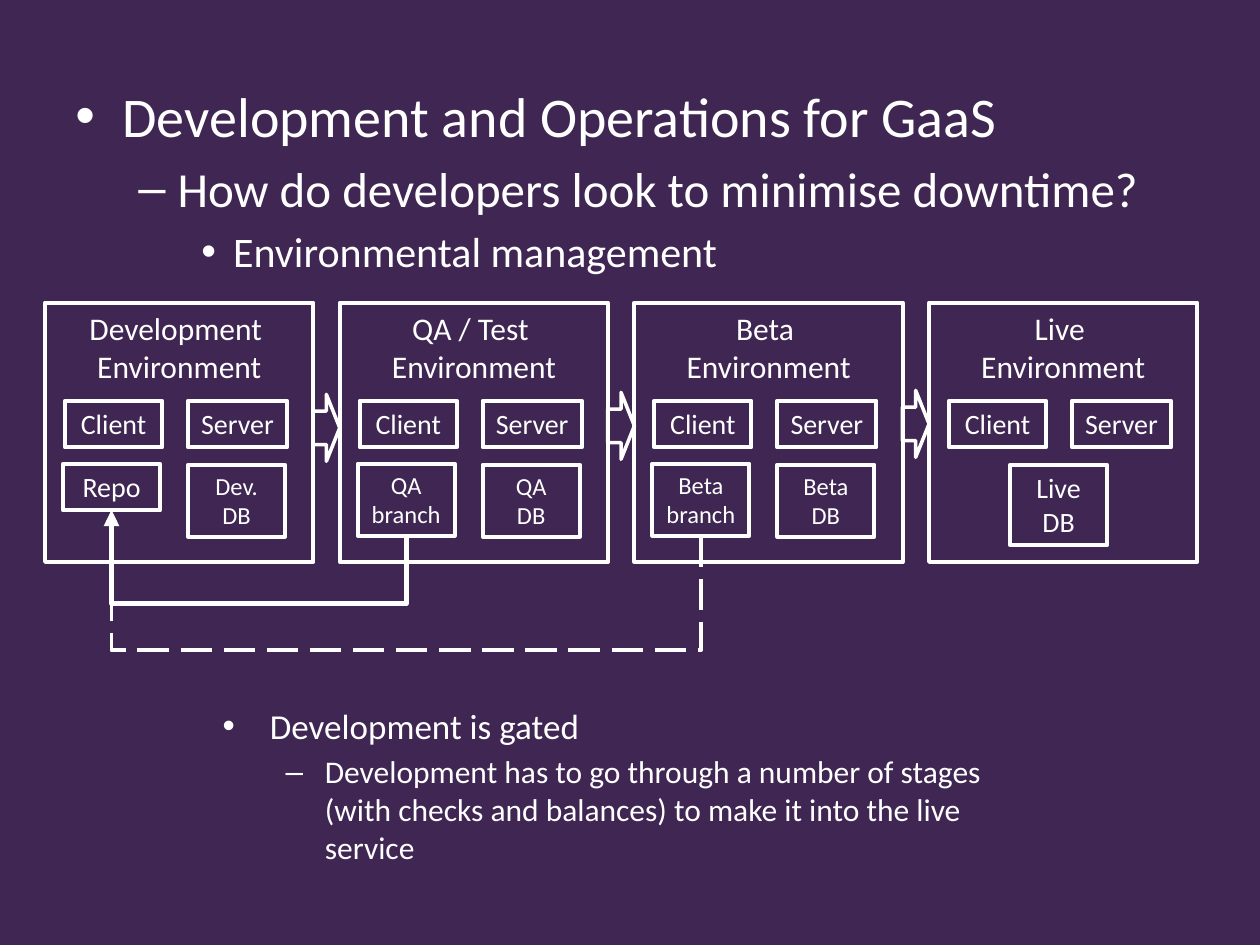
"""Build the slide on development and operations environments for GaaS."""
from lxml import etree
from pptx import Presentation
from pptx.dml.color import RGBColor
from pptx.enum.dml import MSO_LINE
from pptx.enum.shapes import MSO_CONNECTOR, MSO_SHAPE
from pptx.enum.text import MSO_ANCHOR, PP_ALIGN
from pptx.oxml.ns import qn
from pptx.util import Cm, Pt

WHITE = RGBColor(0xFF, 0xFF, 0xFF)
PURPLE = RGBColor(0x40, 0x26, 0x52)
RECT, ARROW = MSO_SHAPE.RECTANGLE, MSO_SHAPE.RIGHT_ARROW
ELBOW = MSO_CONNECTOR.ELBOW
SOLID, DASH = MSO_LINE.SOLID, MSO_LINE.LONG_DASH
LEFT, CENTER = PP_ALIGN.LEFT, PP_ALIGN.CENTER
TOP = MSO_ANCHOR.TOP

deck = Presentation()
deck.slide_width, deck.slide_height = Cm(25.4), Cm(19.05)
slide = deck.slides.add_slide(deck.slide_layouts[6])
slide.background.fill.solid()
slide.background.fill.fore_color.rgb = PURPLE
shapes = slide.shapes


def write(frame, text, size=16, align=CENTER, wrap=False, level=0, bullet=None, margin=0, hang=0):
    frame.word_wrap = wrap
    frame.vertical_anchor = TOP
    for line in text.split("\n"):
        para = frame.paragraphs[0] if not frame.text else frame.add_paragraph()
        para.alignment, para.level = align, level
        run = para.add_run()
        run.text = line
        run.font.name, run.font.size = "Calibri", Pt(size)
        run.font.color.rgb = WHITE
        if bullet:
            para.space_before = Pt(size * 0.2)
            props = para._p.get_or_add_pPr()
            props.set("marL", str(Cm(margin)))
            props.set("indent", str(-Cm(hang)))
            etree.SubElement(props, qn("a:buFont"), typeface="Arial")
            etree.SubElement(props, qn("a:buChar"), char=bullet)


def draw(kind, x, y, w, h, weight=2.25):
    shape = shapes.add_shape(kind, Cm(x), Cm(y), Cm(w), Cm(h))
    shape.shadow.inherit = False
    shape.fill.background()
    shape.line.color.rgb = WHITE
    shape.line.width = Pt(weight)
    return shape


outline = [
    (1.27, 1.52, 22.86, 5, [
        ("Development and Operations for GaaS", 32, 0, "•", 0.95, 0.95),
        ("How do developers look to minimise downtime?", 28, 1, "–", 2.06, 0.79),
        ("Environmental management", 24, 2, "•", 3.18, 0.64)]),
    (4.24, 14.07, 16.84, 4.88, [
        ("Development is gated", 20, 0, "•", 0.95, 0.95),
        ("Development has to go through a number of stages (with checks and balances) "
         "to make it into the live service", 18, 1, "–", 2.06, 0.79)]),
]
for x, y, w, h, points in outline:
    frame = shapes.add_textbox(Cm(x), Cm(y), Cm(w), Cm(h)).text_frame
    for text, size, level, mark, margin, hang in points:
        write(frame, text, size, LEFT, True, level, mark, margin, hang)

EDGE, PITCH, WIDE = 0.91, 5.94, 5.41
stages = [
    ("Development ", "Repo", 16, 0.94, "Dev.\nDB"),
    ("QA / Test ", "QA\nbranch", 14, 1.45, "QA\nDB"),
    ("Beta ", "Beta\nbranch", 14, 1.45, "Beta\nDB"),
    ("Live ", None, 16, 0, "Live\nDB"),
]
repos = []
for i, (name, repo, size, high, store) in enumerate(stages):
    x = EDGE + i * PITCH
    draw(RECT, x, 6.1, WIDE, 5.23)
    head = shapes.add_textbox(Cm(x), Cm(6.1), Cm(WIDE), Cm(1.63))
    write(head.text_frame, name + "\nEnvironment", 18, wrap=True)
    parts = [("Client", 0.4, 8.08, 1.96, 0.94, 16), ("Server", 2.88, 8.08, 2, 0.94, 16)]
    if repo:
        parts += [(store, 2.88, 9.37, 1.96, 1.45, 14), (repo, 0.36, 9.35, 1.96, high, size)]
    else:
        parts += [(store, 1.63, 9.37, 1.96, 1.62, 16)]
    for text, dx, y, w, h, points in parts:
        part = draw(RECT, x + dx, y, w, h)
        write(part.text_frame, text, points)
    repos.append(part)

for i in range(3):
    draw(ARROW, EDGE + i * PITCH + 5.4, 7.95 - 0.04 * i, 0.54, 1.35, 2)

goal = repos[0]
for start, low, weight, dash in [(repos[1], 12.17, 3, SOLID), (repos[2], 13.11, 2.25, DASH)]:
    x1, y1 = start.left + start.width // 2, start.top + start.height
    x2, y2 = goal.left + goal.width // 2, goal.top + goal.height
    link = shapes.add_connector(ELBOW, x1, y1, x2, y2)
    link.begin_connect(start, 2)
    link.end_connect(goal, 2)
    w, h = y1 - y2, x1 - x2
    link.left, link.top = (x1 + x2 - w) // 2, (y1 + y2 - h) // 2
    link.width, link.height = w, h
    props = link._element.spPr
    frame = props.find(qn("a:xfrm"))
    frame.attrib.pop("flipV", None)
    frame.set("flipH", "1")
    frame.set("rot", "5400000")
    bend = round((y1 - Cm(low)) / w * 100000)
    etree.SubElement(props.find(qn("a:prstGeom")).find(qn("a:avLst")), qn("a:gd"),
                     name="adj1", fmla=f"val {bend}")
    link.line.color.rgb = WHITE
    link.line.width, link.line.dash_style = Pt(weight), dash
    etree.SubElement(props.find(qn("a:ln")), qn("a:tailEnd"), type="triangle")
    etree.SubElement(props, qn("a:effectLst"))

deck.save("out.pptx")
